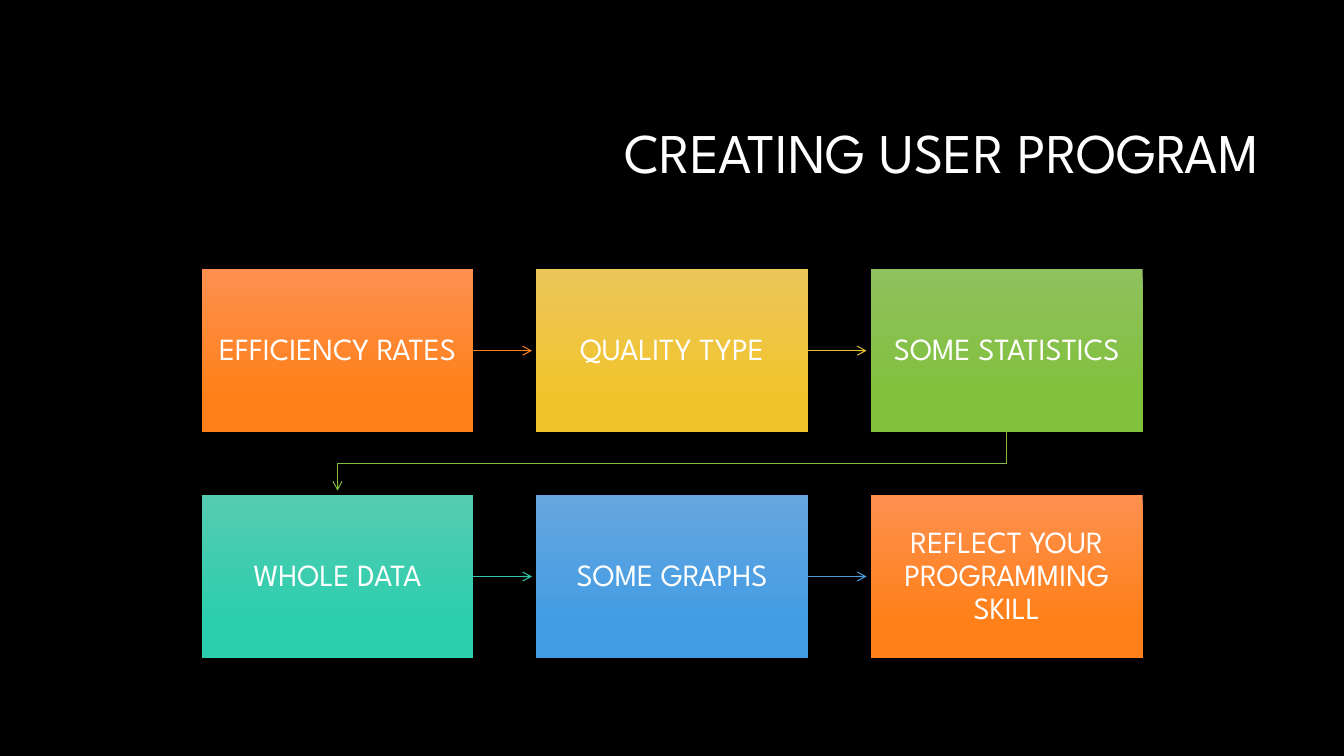
import pptx
import pptx.dml.color
import pptx.enum.shapes
import pptx.enum.text
import pptx.oxml
import pptx.oxml.ns
import pptx.util
import lxml.etree

Pt = pptx.util.Pt
ALIGN = pptx.enum.text.PP_ALIGN

LEFT, TOP = 144, 192.2
BOX_W, BOX_H = 194.2, 116.6
STEP_X, STEP_Y = 239, 161.3
TIP_GAP = 3

# label, gradient top, gradient bottom, colour of the arrow to the next step
STEPS = [
    ("EFFICIENCY RATES", "FE904F", "FF8019", "FE801A"),
    ("QUALITY TYPE", "EBC659", "F2C42C", "E9BF35"),
    ("SOME STATISTICS", "8FC15E", "81C13C", "81BB42"),
    ("WHOLE DATA", "55CCB1", "2BCEAD", "32C7A9"),
    ("SOME GRAPHS", "66A7E0", "439CE3", "4A9BDC"),
    ("REFLECT YOUR PROGRAMMING SKILL", "FE904F", "FF8019", None),
]
COLUMNS = 3


def rgb(value):
    return pptx.dml.color.RGBColor.from_string(value)


def write(sp, text, size=22, color="FFFFFF", font="League Spartan",
          align=ALIGN.CENTER, margin_x=7.2, margin_y=3.6):
    tf = sp.text_frame
    tf.word_wrap = True
    tf.vertical_anchor = pptx.enum.text.MSO_ANCHOR.MIDDLE
    tf.margin_left = tf.margin_right = Pt(margin_x)
    tf.margin_top = tf.margin_bottom = Pt(margin_y)
    p = tf.paragraphs[0]
    p.alignment = align
    p.line_spacing = 0.9
    r = p.add_run()
    r.text = text
    r.font.size = Pt(size)
    r.font.name = font
    r.font.color.rgb = rgb(color)


class FlowSlide:
    def __init__(self, prs, background="000000", line_width=0.75):
        self.s = prs.slides.add_slide(prs.slide_layouts[6])
        self.s.background.fill.solid()
        self.s.background.fill.fore_color.rgb = rgb(background)
        self.line_width = line_width

    def title(self, text, x, y, w, h):
        sp = self.s.shapes.add_textbox(Pt(x), Pt(y), Pt(w), Pt(h))
        write(sp, text, size=40, align=ALIGN.RIGHT)

    def box(self, text, x, y, top_color, bottom_color):
        sp = self.s.shapes.add_shape(
            pptx.enum.shapes.MSO_SHAPE.RECTANGLE, Pt(x), Pt(y), Pt(BOX_W), Pt(BOX_H))
        sp.shadow.inherit = False
        sp.line.fill.background()
        sp.fill.gradient()
        sp.fill.gradient_angle = 270
        stops = zip(sp.fill.gradient_stops, (top_color, bottom_color), (0, 0.78))
        for stop, color, position in stops:
            stop.color.rgb = rgb(color)
            stop.position = position
        write(sp, text, margin_x=9.4, margin_y=10)
        return sp

    def arrow_line(self, sp, color):
        """Style the outline of sp and put an open arrowhead at its end."""
        sp.line.color.rgb = rgb(color)
        sp.line.width = Pt(self.line_width)
        ln = sp._element.spPr.find(pptx.oxml.ns.qn("a:ln"))
        lxml.etree.SubElement(ln, pptx.oxml.ns.qn("a:tailEnd"), type="arrow")

    def arrow_right(self, start, end, color):
        y = start.top + start.height // 2
        sp = self.s.shapes.add_connector(
            pptx.enum.shapes.MSO_CONNECTOR.STRAIGHT,
            start.left + start.width, y, end.left - Pt(TIP_GAP), y)
        sp.begin_connect(start, 3)
        self.arrow_line(sp, color)
        lxml.etree.SubElement(sp._element.spPr, pptx.oxml.ns.qn("a:effectLst"))

    def arrow_to_next_row(self, start, end, color):
        x1, x2 = (sp.left + sp.width // 2 for sp in (start, end))
        y1 = start.top + start.height
        middle = (y1 + end.top) // 2
        builder = self.s.shapes.build_freeform(x1, y1)
        builder.add_line_segments(
            [(x1, middle), (x2, middle), (x2, end.top - Pt(TIP_GAP))], close=False)
        sp = builder.convert_to_shape()
        sp.shadow.inherit = False
        sp.fill.background()
        self.arrow_line(sp, color)


def main():
    prs = pptx.Presentation()
    prs.slide_width, prs.slide_height = Pt(960), Pt(540)
    flow = FlowSlide(prs)
    flow.title("CREATING USER PROGRAM", 228.2, 60.5, 678.2, 101.5)

    boxes = []
    for i, (text, top_color, bottom_color, _) in enumerate(STEPS):
        row, column = divmod(i, COLUMNS)
        boxes.append(flow.box(text, LEFT + column * STEP_X, TOP + row * STEP_Y,
                              top_color, bottom_color))

    for i, (start, end) in enumerate(zip(boxes, boxes[1:])):
        last_in_row = i % COLUMNS == COLUMNS - 1
        draw = flow.arrow_to_next_row if last_in_row else flow.arrow_right
        draw(start, end, STEPS[i][3])

    prs.save("out.pptx")


if __name__ == "__main__":
    main()
